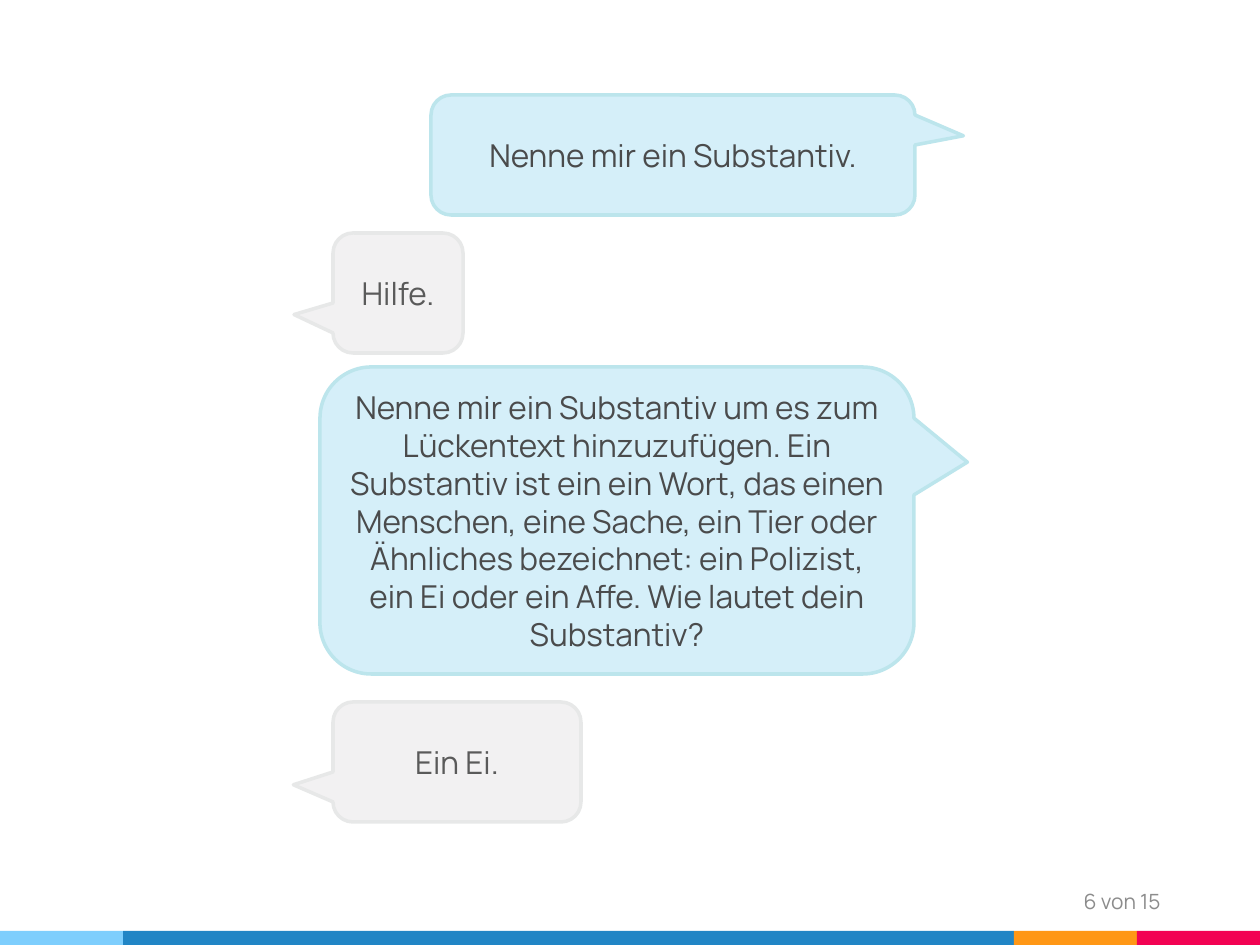
from dataclasses import dataclass

import pptx
import pptx.dml.color
import pptx.enum.shapes
import pptx.enum.text
import pptx.util
from pptx.dml.color import RGBColor

PX_PER_INCH = 126
PAGE_WIDTH, PAGE_HEIGHT = 1260, 945
FONT = "Manrope"
CORNER = 0.167

WHITE = RGBColor(0xFF, 0xFF, 0xFF)
SKY = RGBColor(0x7E, 0xCE, 0xFD)
BLUE = RGBColor(0x21, 0x85, 0xC5)
ORANGE = RGBColor(0xFF, 0x97, 0x15)
RED = RGBColor(0xF2, 0x02, 0x53)
PAGE_NUMBER_GRAY = RGBColor(0x8C, 0x8C, 0x8C)


@dataclass(frozen=True)
class Speaker:
    fill: RGBColor
    line: RGBColor
    text: RGBColor


@dataclass(frozen=True)
class Bubble:
    """A speech bubble; the tail tip is a share of its size, from its centre."""
    speaker: Speaker
    text: str
    left: int
    top: int
    width: int
    height: int
    tail_x: float
    tail_y: float


ASKER = Speaker(RGBColor(0xD5, 0xEF, 0xF9), RGBColor(0xBC, 0xE5, 0xEC),
                RGBColor(0x4A, 0x4B, 0x4C))
USER = Speaker(RGBColor(0xF2, 0xF1, 0xF2), RGBColor(0xE7, 0xE8, 0xE8),
               RGBColor(0x5A, 0x5A, 0x5A))

BUBBLES = [
    Bubble(ASKER, "Nenne mir ein Substantiv.", 431, 95, 484, 120, 0.6, -0.16),
    Bubble(USER, "Hilfe.", 333, 233, 130, 120, -0.8, 0.18),
    Bubble(ASKER,
           "Nenne mir ein Substantiv um es zum Lückentext hinzuzufügen. "
           "Ein Substantiv ist ein ein Wort, das einen Menschen, eine Sache, "
           "ein Tier oder Ähnliches bezeichnet: ein Polizist, ein Ei oder ein "
           "Affe. Wie lautet dein Substantiv?",
           320, 367, 594, 307, 0.59, -0.19),
    Bubble(USER, "Ein Ei.", 333, 702, 248, 120, -0.66, 0.19),
]

STRIPE_HEIGHT = 14
STRIPE_WIDTHS = [(SKY, 123), (BLUE, 891), (ORANGE, 123), (RED, 123)]


def px(length: int) -> pptx.util.Emu:
    return pptx.util.Emu(round(length * 914400 / PX_PER_INCH))


def add_filled_shape(slide, kind, left: int, top: int, width: int, height: int,
                     fill: RGBColor):
    shape = slide.shapes.add_shape(kind, px(left), px(top), px(width), px(height))
    shape.shadow.inherit = False
    shape.fill.solid()
    shape.fill.fore_color.rgb = fill
    return shape


def write_text(shape, text: str, size: int, color: RGBColor, alignment) -> None:
    frame = shape.text_frame
    frame.word_wrap = True
    frame.vertical_anchor = pptx.enum.text.MSO_ANCHOR.MIDDLE
    para = frame.paragraphs[0]
    para.text = text
    para.alignment = alignment
    para.font.name = FONT
    para.font.size = pptx.util.Pt(size)
    para.font.color.rgb = color


def draw_stripe(slide) -> None:
    left = 0
    for color, width in STRIPE_WIDTHS:
        band = add_filled_shape(slide, pptx.enum.shapes.MSO_SHAPE.RECTANGLE, left,
                                PAGE_HEIGHT - STRIPE_HEIGHT, width, STRIPE_HEIGHT, color)
        band.line.fill.background()
        left += width


def draw_page_number(slide) -> None:
    box = slide.shapes.add_textbox(px(890), px(876), px(283), px(50))
    write_text(box, "6 von 15", 12, PAGE_NUMBER_GRAY, pptx.enum.text.PP_ALIGN.RIGHT)


def draw_bubble(slide, bubble: Bubble) -> None:
    shape = add_filled_shape(slide, pptx.enum.shapes.MSO_SHAPE.ROUNDED_RECTANGULAR_CALLOUT,
                             bubble.left, bubble.top, bubble.width, bubble.height,
                             bubble.speaker.fill)
    for index, value in enumerate((bubble.tail_x, bubble.tail_y, CORNER)):
        shape.adjustments[index] = value
    shape.line.color.rgb = bubble.speaker.line
    shape.line.width = pptx.util.Pt(2)
    write_text(shape, bubble.text, 18, bubble.speaker.text,
               pptx.enum.text.PP_ALIGN.CENTER)


def main() -> None:
    deck = pptx.Presentation()
    deck.slide_width, deck.slide_height = px(PAGE_WIDTH), px(PAGE_HEIGHT)
    slide = deck.slides.add_slide(deck.slide_layouts[6])
    slide.background.fill.solid()
    slide.background.fill.fore_color.rgb = WHITE
    draw_stripe(slide)
    draw_page_number(slide)
    for bubble in BUBBLES:
        draw_bubble(slide, bubble)
    deck.save("out.pptx")


if __name__ == "__main__":
    main()
